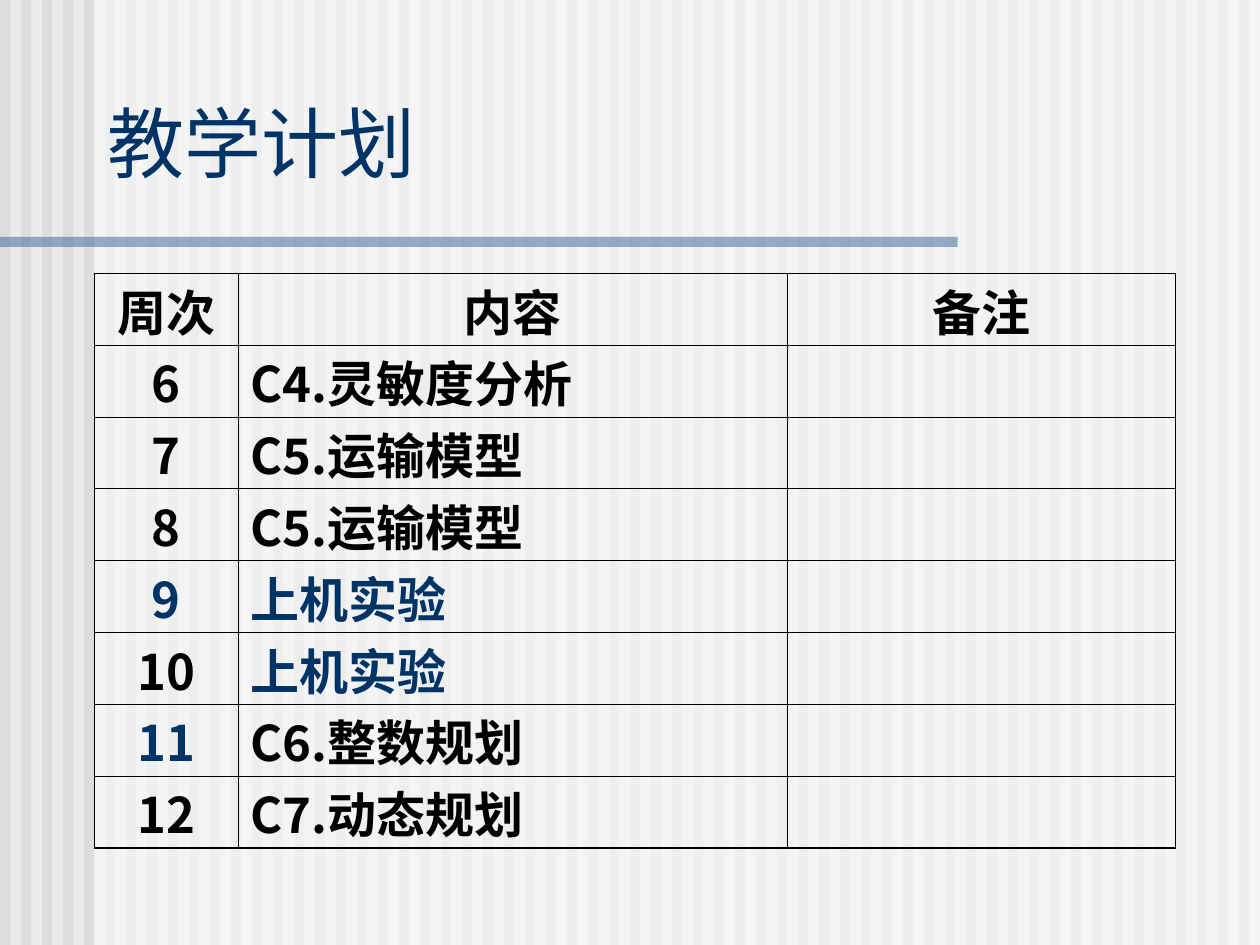
from lxml import etree
from pptx import Presentation
from pptx.dml.color import RGBColor
from pptx.enum import shapes, text
from pptx.oxml import ns
from pptx.util import Inches, Pt

FONT = "Noto Sans CJK SC"
NAVY, BLACK = "003366", "000000"
COLUMNS = (1.14, 4.36, 3.08)
ROW_HEIGHT = 0.57
PLAN = [
    ("周次", "内容", "备注"),
    ("6", "C4.灵敏度分析", ""),
    ("7", "C5.运输模型", ""),
    ("8", "C5.运输模型", ""),
    ("9", "上机实验", ""),
    ("10", "上机实验", ""),
    ("11", "C6.整数规划", ""),
    ("12", "C7.动态规划", ""),
]
NAVY_TEXTS = ("9", "11", "上机实验")


def rgb(value):
    """Return the colour for a hex string."""
    return RGBColor.from_string(value)


def set_attrs(obj, values):
    """Set each attribute of an object from a dict."""
    for name, value in values.items():
        setattr(obj, name, value)


def add_sub(parent, tag, **attrs):
    """Append a DrawingML child element."""
    return etree.SubElement(parent, ns.qn(tag), **attrs)


def add_bar(group, box, color, opacity=100):
    """Add a borderless rectangle with the given opacity."""
    sp = group.shapes.add_shape(shapes.MSO_SHAPE.RECTANGLE, *map(Inches, box))
    sp.shadow.inherit = False
    sp.line.fill.background()
    sp.fill.solid()
    sp.fill.fore_color.rgb = rgb(color)
    if opacity < 100:
        clr = sp._element.spPr.find(".//" + ns.qn("a:srgbClr"))
        add_sub(clr, "a:alpha", val=str(opacity * 1000))


def add_backdrop(s):
    """Add the striped background, the pale panel and the title rule."""
    s.background.fill.solid()
    s.background.fill.fore_color.rgb = rgb("EAEAEA")
    group = s.shapes.add_group_shape()
    for i in range(60):
        add_bar(group, (i / 6, 0, 0.08, 7.5), "DDDDDD")
    add_bar(group, (0.75, 0, 9.25, 7.5), "FFFFFF", 50)
    add_bar(group, (0, 1.88, 7.6, 0.08), "336699", 50)


def write(tf, words, size, color, bold, para):
    """Write one formatted paragraph into a text frame."""
    p = tf.paragraphs[0]
    set_attrs(p, para)
    r = p.add_run()
    r.text = words
    set_attrs(r.font, {"name": FONT, "size": Pt(size), "bold": bold})
    r.font.color.rgb = rgb(color)
    add_sub(r.font._element, "a:ea", typeface=FONT)


def add_title(s, words):
    """Place the title in front of the backdrop."""
    sp = s.shapes.title
    s.shapes._spTree.append(sp._element)
    set_attrs(sp, {"left": Inches(0.75), "top": Inches(0.5),
                   "width": Inches(8.5), "height": Inches(1.25)})
    set_attrs(sp.text_frame, {"vertical_anchor": text.MSO_ANCHOR.MIDDLE,
                              "auto_size": text.MSO_AUTO_SIZE.NONE,
                              "word_wrap": True})
    write(sp.text_frame, words, 44, NAVY, False,
          {"alignment": text.PP_ALIGN.LEFT})


def set_borders(cell, outer):
    """Draw thick lines on outer sides and thin lines elsewhere."""
    tc_pr = cell._tc.get_or_add_tcPr()
    for side in "LRTB":
        width = Pt(1.08 if side in outer else 0.45)
        ln = add_sub(tc_pr, "a:ln" + side, w=str(width))
        fill = add_sub(ln, "a:solidFill")
        add_sub(fill, "a:srgbClr", val=BLACK)


def add_plan(s):
    """Add the weekly teaching plan table."""
    rows, cols = len(PLAN), len(COLUMNS)
    table = s.shapes.add_table(
        rows, cols, Inches(0.75), Inches(2.17),
        Inches(sum(COLUMNS)), Inches(rows * ROW_HEIGHT)).table
    set_attrs(table, {"first_row": False, "horz_banding": False})
    for column, width in zip(table.columns, COLUMNS):
        column.width = Inches(width)
    for i, row in enumerate(PLAN):
        table.rows[i].height = Inches(ROW_HEIGHT)
        for j, words in enumerate(row):
            cell = table.cell(i, j)
            sides = {"L": j == 0, "R": j == cols - 1,
                     "T": i == 0, "B": i == rows - 1}
            set_borders(cell, [side for side, edge in sides.items() if edge])
            cell.fill.background()
            set_attrs(cell, {"margin_top": 0, "margin_bottom": 0,
                             "vertical_anchor": text.MSO_ANCHOR.BOTTOM})
            if words:
                centred = i == 0 or j == 0
                align = text.PP_ALIGN.CENTER if centred else text.PP_ALIGN.LEFT
                color = NAVY if words in NAVY_TEXTS else BLACK
                write(cell.text_frame, words, 28, color, True,
                      {"alignment": align, "space_before": Pt(7),
                       "line_spacing": Pt(34)})


def main():
    """Build and save the teaching plan slide."""
    prs = Presentation()
    set_attrs(prs, {"slide_width": Inches(10), "slide_height": Inches(7.5)})
    s = prs.slides.add_slide(prs.slide_layouts[5])
    add_backdrop(s)
    add_title(s, "教学计划")
    add_plan(s)
    prs.save("out.pptx")


if __name__ == "__main__":
    main()
